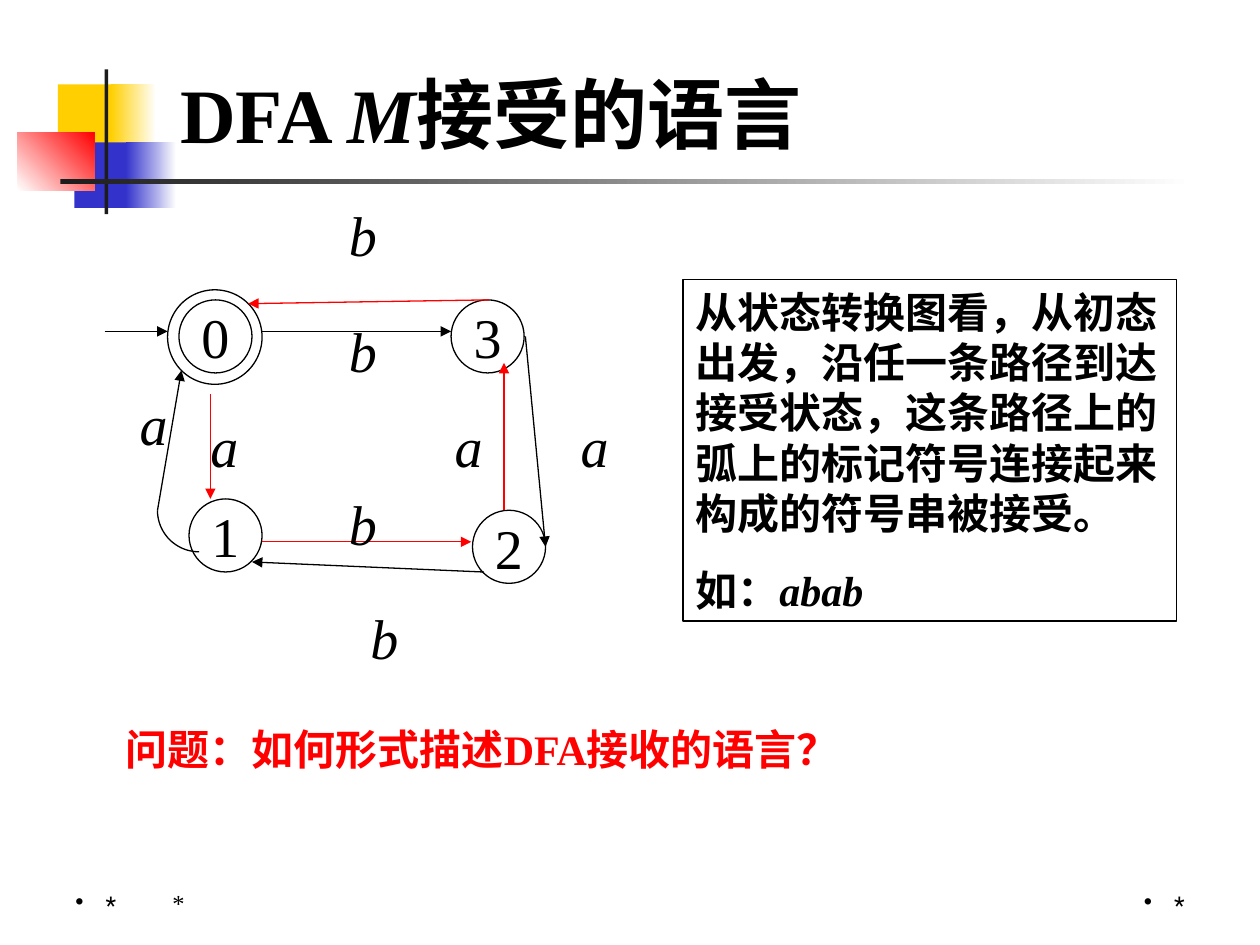
from dataclasses import dataclass
from math import cos, pi, sin

from lxml.etree import SubElement
from pptx import Presentation
from pptx.dml.color import RGBColor
from pptx.enum.shapes import MSO_CONNECTOR, MSO_SHAPE
from pptx.enum.text import MSO_ANCHOR, MSO_AUTO_SIZE, PP_ALIGN
from pptx.oxml.ns import qn
from pptx.util import Emu, Pt

PX = 9144  # 100 px to the inch


@dataclass(frozen=True)
class Theme:
    ink: RGBColor = RGBColor(0, 0, 0)
    paper: RGBColor = RGBColor(255, 255, 255)
    accent: RGBColor = RGBColor(255, 0, 0)
    yellow: RGBColor = RGBColor(0xFF, 0xCF, 0x01)
    blue: RGBColor = RGBColor(0x33, 0x33, 0xCC)
    charcoal: RGBColor = RGBColor(0x1C, 0x1C, 0x1C)
    serif: str = "Times New Roman"
    sans: str = "Roboto"
    title: int = 44
    state: int = 32
    body: int = 24
    footer: int = 14
    stroke: float = 0.75


THEME = Theme()
FIT = {"auto_size": MSO_AUTO_SIZE.SHAPE_TO_FIT_TEXT}
MIDDLE = {"vertical_anchor": MSO_ANCHOR.MIDDLE}
BOTTOM = {"vertical_anchor": MSO_ANCHOR.BOTTOM}


def px(*lengths):
    return [Emu(length * PX) for length in lengths]


def write(shape, paragraphs, size, color=THEME.ink, font=THEME.serif,
          align=PP_ALIGN.LEFT, gap=0, frame=None, **style):
    """Fill a shape with paragraphs, each a list of (text, italic) runs."""
    text_frame = shape.text_frame
    for key, value in {"word_wrap": True, **(frame or {})}.items():
        setattr(text_frame, key, value)
    for index, runs in enumerate(paragraphs):
        paragraph = text_frame.add_paragraph() if index else text_frame.paragraphs[0]
        paragraph.alignment = align
        if index:
            paragraph.space_before = Pt(gap)
        for text, italic in runs:
            run = paragraph.add_run()
            run.text = text
            run.font.color.rgb = color
            format_values = {"name": font, "size": Pt(size), "italic": italic, **style}
            for key, value in format_values.items():
                setattr(run.font, key, value)


def add_textbox(slide, box, paragraphs, size, **options):
    textbox = slide.shapes.add_textbox(*px(*box))
    write(textbox, paragraphs, size, **options)
    return textbox


def add_filled(slide, kind, box, fill, fade=None, angle=0, outlined=False):
    shape = slide.shapes.add_shape(kind, *px(*box))
    shape.shadow.inherit = False
    if fade is None:
        shape.fill.solid()
        shape.fill.fore_color.rgb = fill
    else:
        shape.fill.gradient()
        shape.fill.gradient_angle = angle
        for stop, color in zip(shape.fill.gradient_stops, (fill, fade)):
            stop.color.rgb = color
    if outlined:
        shape.line.color.rgb = THEME.ink
        shape.line.width = Pt(THEME.stroke)
    else:
        shape.line.fill.background()
    return shape


def add_arrow(slide, start, end, color):
    arrow = slide.shapes.add_connector(MSO_CONNECTOR.STRAIGHT, *px(*start, *end))
    arrow.line.color.rgb = color
    arrow.line.width = Pt(THEME.stroke)
    SubElement(arrow.line._get_or_add_ln(), qn("a:tailEnd"), type="triangle")
    SubElement(arrow._element.spPr, qn("a:effectLst"))


def draw_ornament(slide, left, top):
    blocks = [
        ((32, 12, 48, 52), THEME.yellow, None, 0),
        ((74, 12, 36, 52), THEME.yellow, THEME.paper, 0),
        ((45, 58, 46, 52), THEME.blue, None, 0),
        ((86, 58, 40, 52), THEME.blue, THEME.paper, 0),
        ((0, 50, 61, 46), THEME.paper, THEME.accent, 45),
        ((69, 0, 3, 115), THEME.charcoal, None, 0),
        ((34, 87, 900, 4), THEME.charcoal, THEME.paper, 0),
    ]
    for (x, y, width, height), fill, fade, angle in blocks:
        add_filled(slide, MSO_SHAPE.RECTANGLE, (left + x, top + y, width, height),
                   fill, fade, angle)


def draw_title(slide, box):
    title = slide.shapes.title
    title.left, title.top, title.width, title.height = px(*box)
    write(title, [[("DFA ", False), ("M", True), ("接受的语言", False)]], THEME.title,
          bold=True, frame={**FIT, "vertical_anchor": MSO_ANCHOR.TOP})


def draw_return_curve(slide, center_x, center_y, radius):
    """Quarter circle from below the center round to its left."""
    steps = 24
    points = [(round((center_x + radius * cos(angle)) * PX),
               round((center_y + radius * sin(angle)) * PX))
              for angle in (pi / 2 * (1 + step / steps) for step in range(steps + 1))]
    builder = slide.shapes.build_freeform(*points[0])
    builder.add_line_segments(points[1:], close=False)
    curve = builder.convert_to_shape()
    curve.shadow.inherit = False
    curve.fill.background()
    curve.line.color.rgb = THEME.ink
    curve.line.width = Pt(THEME.stroke)


def draw_automaton(slide, left, top):
    diameter, ring = 58, 75
    states = {"0": (59, 84), "1": (67, 242), "2": (292, 251), "3": (275, 84)}
    accepting = "0"
    transitions = [
        ((0, 109), (50, 109), THEME.ink),
        ((84, 159), (84, 242), THEME.accent),
        ((125, 276), (291, 276), THEME.accent),
        ((317, 251), (317, 134), THEME.accent),
        ((301, 300), (117, 292), THEME.ink),
        ((334, 113), (350, 280), THEME.ink),
        ((305, 84), (114, 87), THEME.accent),
        ((42, 251), (61, 140), THEME.ink),
        ((125, 109), (275, 109), THEME.ink),
    ]
    labels = [("a", 18, 150), ("a", 74, 167), ("a", 268, 167), ("a", 368, 167),
              ("b", 184, 229), ("b", 201, 320), ("b", 184, 92), ("b", 184, 0)]

    for state, (x, y) in states.items():
        if state == accepting:
            inset = (ring - diameter) // 2
            add_filled(slide, MSO_SHAPE.OVAL,
                       (left + x - inset - 1, top + y - inset, ring, ring),
                       THEME.paper, outlined=True)
        node = add_filled(slide, MSO_SHAPE.OVAL,
                          (left + x, top + y, diameter, diameter),
                          THEME.paper, outlined=True)
        write(node, [[(state, False)]], THEME.state, align=PP_ALIGN.CENTER,
              frame={**MIDDLE, "word_wrap": False})
    for (x1, y1), (x2, y2), color in transitions:
        add_arrow(slide, (left + x1, top + y1), (left + x2, top + y2), color)
    draw_return_curve(slide, left + 75, top + 251, 33)
    for symbol, x, y in labels:
        add_textbox(slide, (left + x, top + y, 42, 64), [[(symbol, True)]], THEME.state,
                    align=PP_ALIGN.CENTER, frame={**FIT, **MIDDLE, "word_wrap": False})


def draw_explanation(slide, box):
    panel = add_filled(slide, MSO_SHAPE.RECTANGLE, box, THEME.paper, outlined=True)
    rule = ("从状态转换图看，从初态出发，沿任一条路径到达接受状态，"
            "这条路径上的弧上的标记符号连接起来构成的符号串被接受。")
    write(panel, [[(rule, False)], [("如：", False), ("abab", True)]], THEME.body,
          gap=15, bold=True, frame={**FIT, **MIDDLE})


def draw_question(slide, box):
    add_textbox(slide, box, [[("问题：如何形式描述DFA接收的语言？", False)]], THEME.body,
                color=THEME.accent, bold=True, frame=FIT)


def draw_footer(slide, left, top):
    for x, align in ((0, PP_ALIGN.LEFT), (667, PP_ALIGN.RIGHT)):
        mark = add_textbox(slide, (left + x, top, 233, 52), [[("*", False)]],
                           THEME.footer, font=THEME.sans, align=align, frame=BOTTOM)
        properties = mark.text_frame.paragraphs[0]._p.get_or_add_pPr()
        properties.set("marL", str(24 * PX))
        properties.set("indent", str(-24 * PX))
        SubElement(properties, qn("a:buChar"), char="•")
    add_textbox(slide, (left + 77, top, 208, 50), [[("*", False)]], THEME.footer,
                frame=BOTTOM)


def main():
    presentation = Presentation()
    presentation.slide_width, presentation.slide_height = px(1000, 750)
    slide = presentation.slides.add_slide(presentation.slide_layouts[5])
    draw_ornament(slide, 14, 55)
    draw_footer(slide, 50, 683)
    draw_explanation(slide, (542, 222, 392, 271))
    draw_automaton(slide, 83, 154)
    draw_title(slide, (133, 48, 617, 84))
    draw_question(slide, (90, 569, 591, 50))
    presentation.save("out.pptx")


if __name__ == "__main__":
    main()
